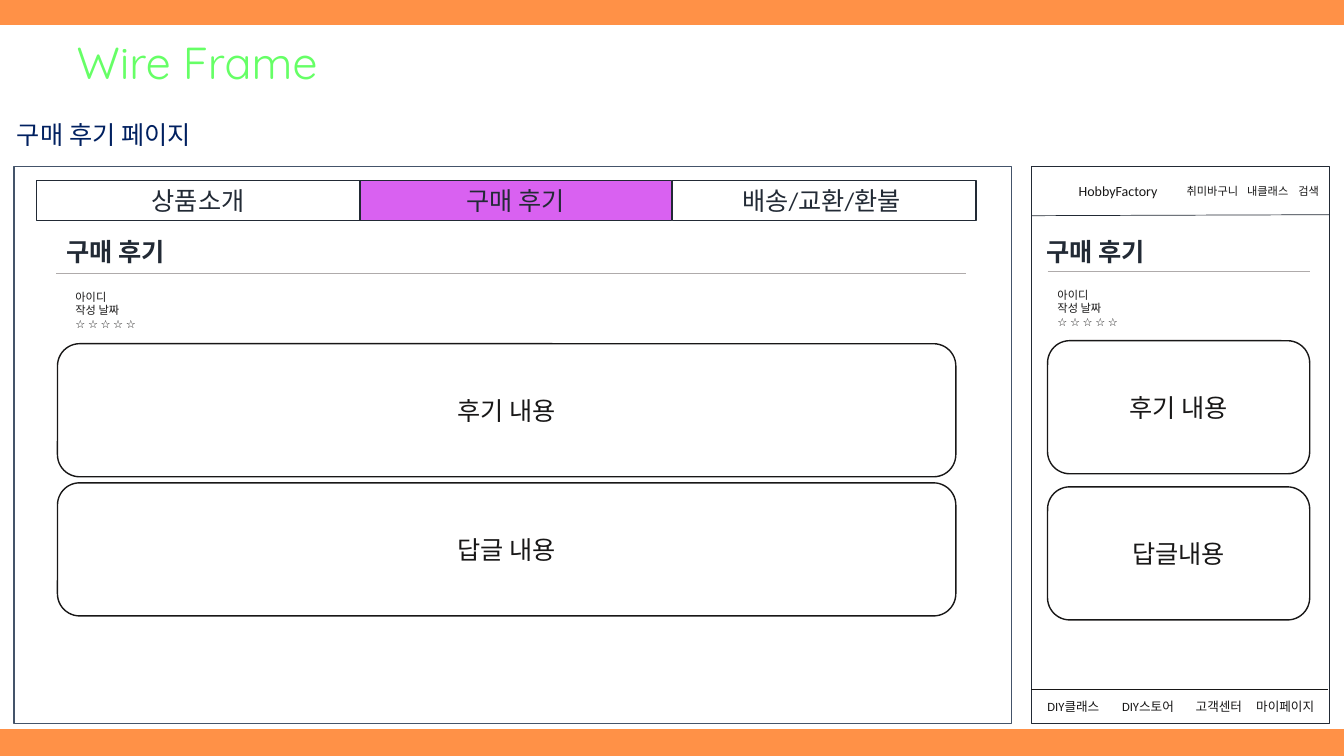
from dataclasses import dataclass
from pptx import Presentation
from pptx.dml.color import RGBColor as Rgb
from pptx.enum.shapes import MSO_CONNECTOR as Conn, MSO_SHAPE as Kind
from pptx.enum.text import MSO_ANCHOR as Anchor, MSO_AUTO_SIZE as Auto, PP_ALIGN as Align
from pptx.oxml.ns import qn
from pptx.util import Pt
from lxml.etree import SubElement as Sub

SCALE = 9144
WHITE, INK, NAVY, GREY = "FFFFFF", "181717", "222A35", "AFABAB"


@dataclass(frozen=True)
class Box:
    x: int
    y: int
    w: int
    h: int
    text: str = ""
    fill: str = WHITE
    line: str = INK
    kind: Kind = Kind.RECTANGLE


@dataclass(frozen=True)
class Label:
    x: int
    y: int
    w: int
    h: int
    text: str
    size: int
    tint: str = INK
    bold: bool = False
    face: str = "Calibri"
    tabs: tuple[int, ...] = ()


@dataclass(frozen=True)
class Rule:
    x: int
    y: int
    end: int
    drop: int = 0
    tint: str = GREY


@dataclass(frozen=True)
class View:
    head: Label
    rule: Rule
    meta: Label
    cards: tuple[Box, ...]


def px(n: int) -> int:
    return n * SCALE


def paint(part, tint: str) -> None:
    part.rgb = Rgb.from_string(tint)


def apply(goal, form: dict) -> None:
    for key, value in form.items():
        setattr(goal, key, value)


def style(para, size: int, tint: str, bold: bool = False, face: str = "Calibri") -> None:
    apply(para.font, {"size": Pt(size), "bold": bold, "name": face})
    paint(para.font.color, tint)


def draw_box(slide, box: Box) -> None:
    shape = slide.shapes.add_shape(box.kind, px(box.x), px(box.y), px(box.w), px(box.h))
    shape.shadow.inherit = False
    shape.fill.solid()
    paint(shape.fill.fore_color, box.fill)
    paint(shape.line.color, box.line)
    shape.line.width = Pt(1)
    if box.text:
        frame = shape.text_frame
        apply(frame, {"text": box.text, "word_wrap": True, "vertical_anchor": Anchor.MIDDLE})
        para = frame.paragraphs[0]
        para.alignment = Align.CENTER
        style(para, 18, NAVY if box.line == NAVY else INK)


def fill_label(shape, label: Label) -> None:
    place = {"left": label.x, "top": label.y, "width": label.w, "height": label.h}
    apply(shape, {key: px(n) for key, n in place.items()})
    frame = shape.text_frame
    apply(frame, {"text": label.text, "word_wrap": True, "vertical_anchor": Anchor.TOP,
                  "auto_size": Auto.SHAPE_TO_FIT_TEXT})
    for para in frame.paragraphs:
        para.alignment = Align.LEFT
        if label.tabs:
            stops = Sub(para._p.get_or_add_pPr(), qn("a:tabLst"))
            for stop in label.tabs:
                Sub(stops, qn("a:tab"), pos=str(px(stop)), algn="l")
        style(para, label.size, label.tint, label.bold, label.face)


def draw_label(slide, label: Label) -> None:
    fill_label(slide.shapes.add_textbox(0, 0, 0, 0), label)


def draw_rule(slide, rule: Rule) -> None:
    line = slide.shapes.add_connector(
        Conn.STRAIGHT, px(rule.x), px(rule.y), px(rule.end), px(rule.y + rule.drop))
    Sub(line._element.spPr, qn("a:effectLst"))
    line.line.width = Pt(0.5)
    paint(line.line.color, rule.tint)


def make_view(head: int, meta: int, top: int, rule: Rule, cards: tuple[Box, ...]) -> View:
    return View(Label(head, 230, 157, 40, "구매 후기", 18, NAVY, True), rule,
                Label(meta, top, 160, 50, "아이디\n작성 날짜\n☆ ☆ ☆ ☆ ☆", 8), cards)


def make_card(x: int, y: int, w: int, text: str) -> Box:
    return Box(x, y, w, 132, text, kind=Kind.ROUNDED_RECTANGLE)


def draw_view(slide, view: View) -> None:
    draw_label(slide, view.head)
    draw_rule(slide, view.rule)
    draw_label(slide, view.meta)
    for card in view.cards:
        draw_box(slide, card)


PAGE = Box(0, 26, 1333, 697, line=WHITE)
TITLE = Label(66, 29, 277, 64, "Wire Frame", 32, "66FF66", face="Quicksand")
BOXES = (
    Box(14, 165, 989, 553, line="44546A"),
    Box(36, 179, 321, 40, "상품소개", line=NAVY),
    Box(357, 179, 309, 40, "구매 후기", "D961F1", NAVY),
    Box(667, 179, 301, 40, "배송/교환/환불 ", line=NAVY),
    Box(1023, 165, 296, 553, line=NAVY),
)
VIEWS = (
    make_view(56, 65, 283, Rule(56, 271, 958),
              (make_card(57, 341, 891, "후기 내용"), make_card(57, 479, 891, "답글 내용"))),
    make_view(1028, 1039, 281, Rule(1039, 269, 1299),
              (make_card(1039, 338, 260, "후기 내용"), make_card(1039, 483, 260, "답글내용"))),
)
LABELS = (
    Label(7, 113, 971, 40, "구매 후기 페이지", 18, "002060"),
    Label(1060, 176, 108, 27, "HobbyFactory", 10),
    Label(1167, 178, 160, 24, "취미바구니\t내클래스\t검색", 8, tabs=(60, 111)),
    Label(1029, 688, 322, 25, "DIY클래스\tDIY스토어\t고객센터\t마이페이지", 9,
          tabs=(74, 147, 207)),
)
RULES = (Rule(1023, 214, 1319, -1, NAVY), Rule(1023, 684, 1317, tint=INK))


def main() -> None:
    deck = Presentation()
    apply(deck, {"slide_width": px(1333), "slide_height": px(750)})
    slide = deck.slides.add_slide(deck.slide_layouts[5])
    slide.background.fill.solid()
    paint(slide.background.fill.fore_color, "FF9147")
    draw_box(slide, PAGE)
    title = slide.shapes.title
    fill_label(title, TITLE)
    slide.shapes._spTree.append(title._element)
    for box in BOXES:
        draw_box(slide, box)
    for view in VIEWS:
        draw_view(slide, view)
    for label in LABELS:
        draw_label(slide, label)
    for rule in RULES:
        draw_rule(slide, rule)
    deck.save("out.pptx")


if __name__ == "__main__":
    main()
